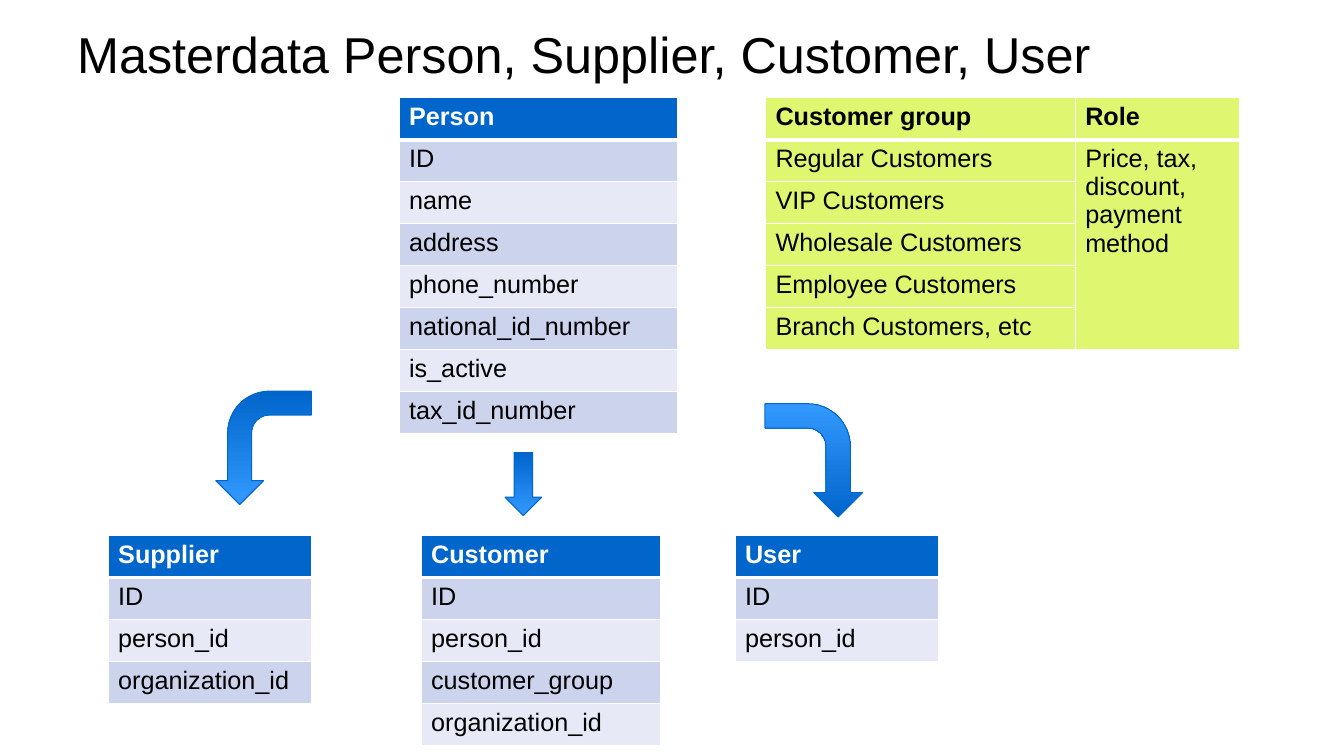
from dataclasses import dataclass

from lxml import etree
from pptx import Presentation
from pptx.dml.color import RGBColor
from pptx.enum import shapes, text
from pptx.oxml import ns
from pptx.util import Emu, Pt

FONT = "Arial"
BLUE, LIGHT_BLUE = "0066CC", "3399FF"
BANDS = ("CCD3EC", "E7EAF6")
LIME, WHITE, BLACK = "DFF770", "FFFFFF", "000000"
ROW_HEIGHT = 40


@dataclass
class EntityTable:
    left: int
    top: int
    widths: list[int]
    rows: list[tuple[str, ...]]
    header_fill: str = BLUE
    header_color: str = WHITE
    bands: tuple[str, ...] = BANDS
    merge_last_column: bool = False


@dataclass
class Arrow:
    kind: shapes.MSO_SHAPE
    left: int
    top: int
    width: int
    height: int
    rotation: int = 0
    flips: tuple[str, ...] = ()


def px(value: int) -> Emu:
    return Emu(value * 9525)


def rgb(color: str) -> RGBColor:
    return RGBColor.from_string(color)


def style_text(paragraph, size: int, color: str, bold: bool = False) -> None:
    for run in paragraph.runs:
        run.font.name = FONT
        run.font.size = Pt(size)
        run.font.bold = bold
        run.font.color.rgb = rgb(color)


def set_borders(cell, row_index: int) -> None:
    properties = cell._tc.get_or_add_tcPr()
    top = 3 if row_index == 1 else 1
    bottom = 3 if row_index == 0 else 1
    for side, points in (("L", 1), ("R", 1), ("T", top), ("B", bottom)):
        line = etree.SubElement(properties, ns.qn(f"a:ln{side}"), w=str(Pt(points)))
        fill = etree.SubElement(line, ns.qn("a:solidFill"))
        etree.SubElement(fill, ns.qn("a:srgbClr"), val=WHITE)


def draw_table(slide, entity: EntityTable) -> None:
    row_count, column_count = len(entity.rows), len(entity.widths)
    table = slide.shapes.add_table(
        row_count, column_count, px(entity.left), px(entity.top),
        px(sum(entity.widths)), px(ROW_HEIGHT * row_count),
    ).table
    table.horz_banding = False
    for column, width in zip(table.columns, entity.widths):
        column.width = px(width)
    for row_index, labels in enumerate(entity.rows):
        header = row_index == 0
        band = entity.bands[(row_index - 1) % len(entity.bands)]
        for column_index in range(column_count):
            cell = table.cell(row_index, column_index)
            set_borders(cell, row_index)
            cell.fill.solid()
            cell.fill.fore_color.rgb = rgb(entity.header_fill if header else band)
            if column_index < len(labels):
                cell.text_frame.text = labels[column_index]
                color = entity.header_color if header else BLACK
                style_text(cell.text_frame.paragraphs[0], 18, color, header)
    if entity.merge_last_column:
        last = column_count - 1
        table.cell(1, last).merge(table.cell(row_count - 1, last))


def draw_arrow(slide, arrow: Arrow) -> None:
    shape = slide.shapes.add_shape(
        arrow.kind, px(arrow.left), px(arrow.top), px(arrow.width), px(arrow.height)
    )
    shape.shadow.inherit = False
    shape.rotation = arrow.rotation
    for flip in arrow.flips:
        shape._element.spPr.find(ns.qn("a:xfrm")).set(flip, "1")
    shape.fill.gradient()
    shape.fill.gradient_angle = 270
    for stop, color in zip(shape.fill.gradient_stops, (BLUE, LIGHT_BLUE)):
        stop.color.rgb = rgb(color)
    shape._element.spPr.find(ns.qn("a:gradFill")).set("rotWithShape", "0")
    shape.line.color.rgb = rgb(BLUE)
    shape.line.width = Pt(0.75)


def draw_title(slide, title: str) -> None:
    frame = slide.shapes.add_textbox(px(64), px(20), px(1152), px(61)).text_frame
    frame.word_wrap = True
    frame.vertical_anchor = text.MSO_ANCHOR.MIDDLE
    frame.text = title
    style_text(frame.paragraphs[0], 36, BLACK)


TABLES = [
    EntityTable(380, 93, [265], [
        ("Person",), ("ID",), ("name",), ("address",), ("phone_number",),
        ("national_id_number",), ("is_active",), ("tax_id_number",),
    ]),
    EntityTable(103, 510, [194], [
        ("Supplier",), ("ID",), ("person_id",), ("organization_id",),
    ]),
    EntityTable(401, 510, [228], [
        ("Customer",), ("ID",), ("person_id",), ("customer_group",), ("organization_id",),
    ]),
    EntityTable(700, 510, [194], [("User",), ("ID",), ("person_id",)]),
    EntityTable(729, 93, [295, 157], [
        ("Customer group", "Role"),
        ("Regular Customers", "Price, tax, discount, payment method"),
        ("VIP Customers",), ("Wholesale Customers",),
        ("Employee Customers",), ("Branch Customers, etc",),
    ], LIME, BLACK, (LIME,), True),
]

ARROWS = [
    Arrow(shapes.MSO_SHAPE.BENT_ARROW, 197, 381, 108, 91, 270, ("flipH",)),
    Arrow(shapes.MSO_SHAPE.BENT_ARROW, 721, 392, 108, 93, 270, ("flipH", "flipV")),
    Arrow(shapes.MSO_SHAPE.DOWN_ARROW, 481, 431, 35, 60),
]


def main() -> None:
    presentation = Presentation()
    presentation.slide_width, presentation.slide_height = px(1280), px(720)
    slide = presentation.slides.add_slide(presentation.slide_layouts[6])
    draw_title(slide, "Masterdata Person, Supplier, Customer, User")
    for entity in TABLES:
        draw_table(slide, entity)
    for arrow in ARROWS:
        draw_arrow(slide, arrow)
    presentation.save("out.pptx")


if __name__ == "__main__":
    main()
